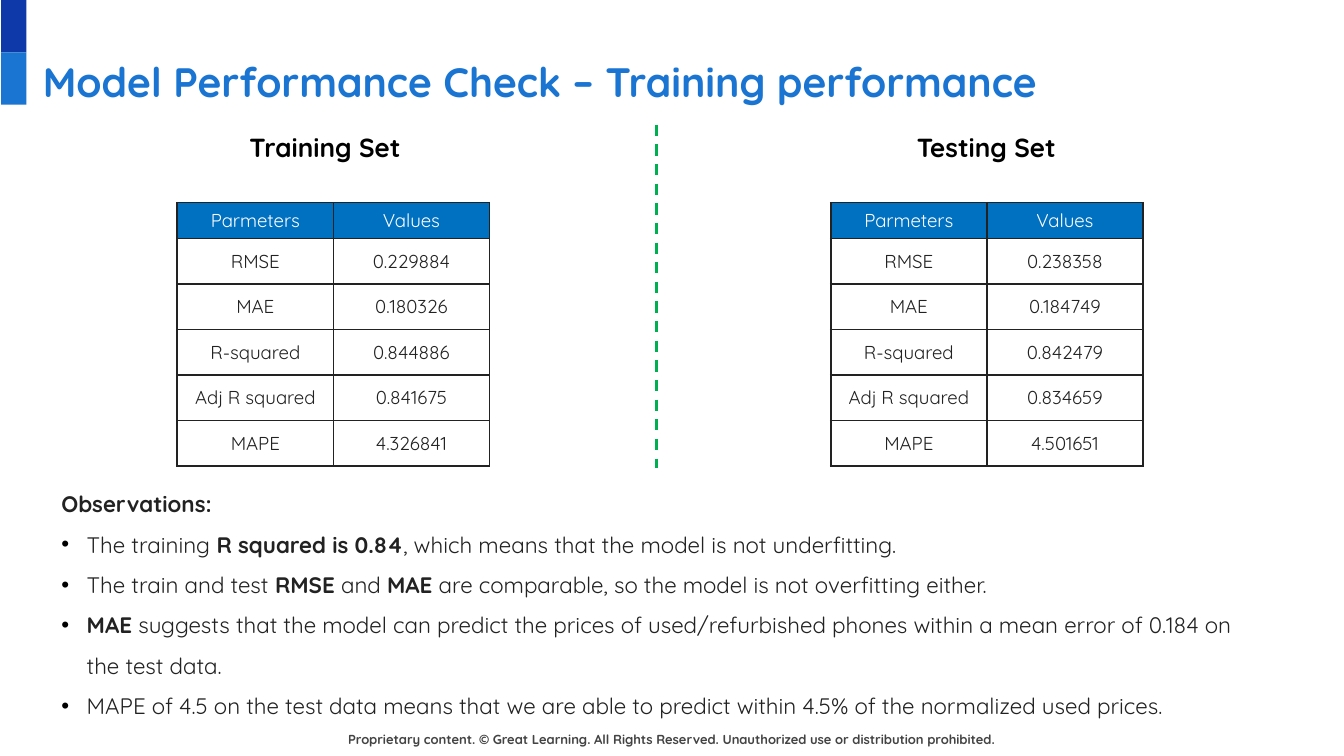
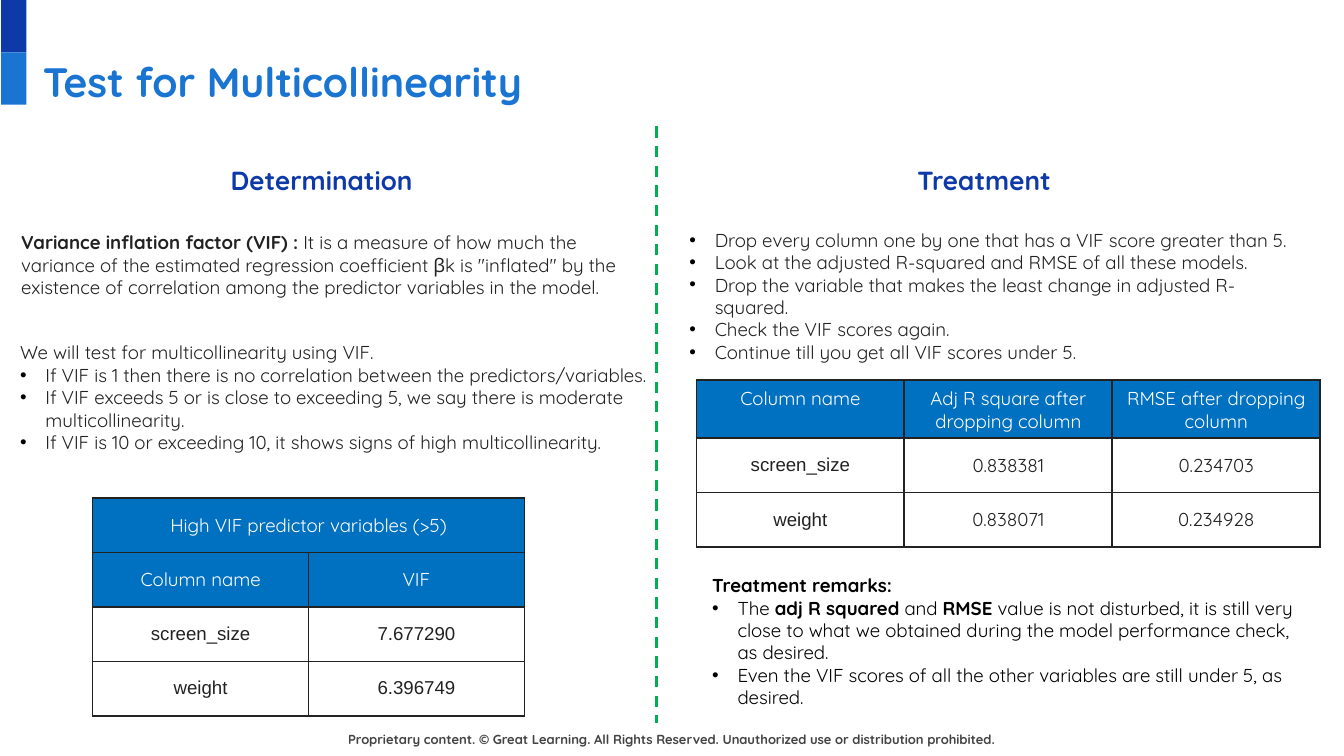
from dataclasses import dataclass

from lxml.etree import SubElement
from pptx import Presentation
from pptx.dml.color import RGBColor
from pptx.enum.dml import MSO_LINE
from pptx.enum.shapes import MSO_CONNECTOR, MSO_SHAPE
from pptx.enum.text import MSO_ANCHOR, PP_ALIGN
from pptx.oxml.ns import qn
from pptx.util import Cm, Pt


@dataclass(frozen=True)
class Theme:
    navy: str = "0E39A9"
    blue: str = "1974D2"
    head: str = "0070C0"
    green: str = "00B050"
    ink: str = "222222"
    black: str = "000000"
    white: str = "FFFFFF"
    grey: str = "434343"
    font: str = "Quicksand"
    plain: str = "Arial"
    title: float = 22
    label: float = 14
    note: float = 12
    body: float = 10
    foot: float = 7


T = Theme()
FOOT = ("Proprietary content. © Great Learning. All Rights Reserved. "
        "Unauthorized use or distribution prohibited.")
INDENT = 0.48
MID = 12.4


def rgb(code):
    return RGBColor.from_string(code)


def add_runs(para, text, size, color, font=T.font):
    """Add the text as runs; parts between asterisks are bold."""
    for i, part in enumerate(text.split("*")):
        if part:
            run = para.add_run()
            run.text = part
            run.font.size = Pt(size)
            run.font.name = font
            run.font.bold = i % 2 == 1
            run.font.color.rgb = rgb(color)


def add_bullet(para):
    props = para._p.get_or_add_pPr()
    props.set("marL", str(Cm(INDENT)))
    props.set("indent", str(-Cm(INDENT)))
    tint = SubElement(props, qn("a:buClr"))
    SubElement(tint, qn("a:srgbClr"), val=T.black)
    SubElement(props, qn("a:buFont"), typeface=T.plain)
    SubElement(props, qn("a:buChar"), char="•")


def add_text(slide, box, lines, size=T.body, color=T.ink, align=PP_ALIGN.LEFT,
             pad=0.13, space=None):
    """Write one paragraph per line; a leading "• " makes it a bullet."""
    frame = slide.shapes.add_textbox(*map(Cm, box)).text_frame
    frame.word_wrap = True
    frame.margin_left = frame.margin_right = Cm(0.25)
    frame.margin_top = frame.margin_bottom = Cm(pad)
    for i, line in enumerate(lines):
        para = frame.paragraphs[0] if i == 0 else frame.add_paragraph()
        para.alignment = align
        if line.startswith("• "):
            if space:
                para.line_spacing = space
            add_bullet(para)
            line = line[2:]
        add_runs(para, line, size, color)


def add_label(slide, left, top, width, text, color):
    add_text(slide, (left, top, width, 0.86), [f"*{text}*"], T.label, color,
             PP_ALIGN.CENTER)


def add_rule(slide, top, end):
    line = slide.shapes.add_connector(MSO_CONNECTOR.STRAIGHT, Cm(MID), Cm(top),
                                      Cm(MID), Cm(end))
    line.line.color.rgb = rgb(T.green)
    line.line.width = Pt(1.5)
    line.line.dash_style = MSO_LINE.DASH
    SubElement(line._element.spPr, qn("a:effectLst"))


def add_edges(cell):
    props = cell._tc.get_or_add_tcPr()
    for side in "LRTB":
        edge = SubElement(props, qn(f"a:ln{side}"), w=str(Pt(1)))
        fill = SubElement(edge, qn("a:solidFill"))
        SubElement(fill, qn("a:srgbClr"), val=T.ink)


def add_table(slide, left, top, col, highs, rows, heads=1, plain=(),
              anchor=MSO_ANCHOR.MIDDLE):
    """Draw a grid; a row of one cell spans it, plain columns use the plain font."""
    wide = len(rows[-1])
    grid = slide.shapes.add_table(len(rows), wide, Cm(left), Cm(top),
                                  Cm(col * wide), Cm(sum(highs))).table
    grid.first_row = grid.horz_banding = False
    for column in grid.columns:
        column.width = Cm(col)
    for r, row in enumerate(rows):
        grid.rows[r].height = Cm(highs[r])
        top_row = r < heads
        if len(row) == 1:
            grid.cell(r, 0).merge(grid.cell(r, wide - 1))
        for c in range(wide):
            cell = grid.cell(r, c)
            add_edges(cell)
            if top_row:
                cell.fill.solid()
                cell.fill.fore_color.rgb = rgb(T.head)
            else:
                cell.fill.background()
            cell.vertical_anchor = anchor if top_row else MSO_ANCHOR.MIDDLE
            if c < len(row):
                para = cell.text_frame.paragraphs[0]
                para.alignment = PP_ALIGN.CENTER
                font = T.plain if c in plain and not top_row else T.font
                add_runs(para, row[c], T.body, T.white if top_row else T.ink, font)


def add_slide(deck, title):
    """Start a slide with its corner bands, footer and title."""
    slide = deck.slides.add_slide(deck.slide_layouts[6])
    for i, color in enumerate((T.navy, T.blue)):
        band = slide.shapes.add_shape(MSO_SHAPE.RECTANGLE, Cm(0.02), Cm(0.99 * i),
                                      Cm(0.48), Cm(0.99))
        band.shadow.inherit = False
        band.fill.solid()
        band.fill.fore_color.rgb = rgb(color)
        band.line.fill.background()
    add_text(slide, (6.2, 13.67, 12.98, 0.76), [f"*{FOOT}*"], T.foot, T.grey,
             PP_ALIGN.CENTER, 0.25)
    add_text(slide, (0.56, 0.81, 23.67, 1.6), [f"*{title}*"], T.title, T.blue,
             pad=0.25)
    return slide


def add_scores(deck):
    slide = add_slide(deck, "Model Performance Check – Training performance")
    names = ("RMSE", "MAE", "R-squared", "Adj R squared", "MAPE")
    sets = (
        ("Training Set", 2.46, 3.35,
         ("0.229884", "0.180326", "0.844886", "0.841675", "4.326841")),
        ("Testing Set", 14.96, 15.7,
         ("0.238358", "0.184749", "0.842479", "0.834659", "4.501651")),
    )
    for label, left, edge, values in sets:
        add_label(slide, left, 2.36, 7.37, label, T.black)
        rows = [("Parmeters", "Values"), *zip(names, values)]
        add_table(slide, edge, 3.83, 2.95, [0.66] + [0.86] * 5, rows)
    add_rule(slide, 2.36, 8.84)
    add_text(slide, (0.91, 9.14, 23.01, 4.55), [
        "*Observations:*",
        "• The training* R squared is 0.84*, which means that the model is not "
        "underfitting.",
        "• The train and test *RMSE* and *MAE* are comparable, so the model is "
        "not overfitting either.",
        "• *MAE* suggests that the model can predict the prices of "
        "used/refurbished phones within a mean error of 0.184 on the test data.",
        "• MAPE of 4.5 on the test data means that we are able to predict "
        "within 4.5% of the normalized used prices.",
    ], T.note, space=1.5)


def add_tests(deck):
    slide = add_slide(deck, "Test for Multicollinearity")
    add_rule(slide, 2.39, 13.67)
    for label, left in (("Determination", 1.75), ("Treatment", 14.27)):
        add_label(slide, left, 2.97, 8.66, label, T.navy)
    add_text(slide, (0.15, 4.24, 11.86, 1.55), [
        "*Variance inflation factor (VIF) : *It is a measure of how much the "
        "variance of the estimated regression coefficient βk is \"inflated\" by "
        "the existence of correlation among the predictor variables in the model.",
    ])
    add_text(slide, (0.13, 6.32, 12.42, 2.39), [
        "We will test for multicollinearity using VIF.",
        "• If VIF is 1 then there is no correlation between the "
        "predictors/variables.",
        "• If VIF exceeds 5 or is close to exceeding 5, we say there is moderate "
        "multicollinearity.",
        "• If VIF is 10 or exceeding 10, it shows signs of high "
        "multicollinearity.",
    ])
    add_table(slide, 1.75, 9.41, 4.08, [1.03] * 4, [
        ("High VIF predictor variables (>5)",),
        ("Column name", "VIF"),
        ("screen_size", "7.677290"),
        ("weight", "6.396749"),
    ], heads=2, plain=(0, 1))
    add_text(slide, (12.78, 4.19, 12.14, 2.39), [
        "• Drop every column one by one that has a VIF score greater than 5.",
        "• Look at the adjusted R-squared and RMSE of all these models.",
        "• Drop the variable that makes the least change in adjusted R-squared.",
        "• Check the VIF scores again.",
        "• Continue till you get all VIF scores under 5.",
    ])
    add_table(slide, 13.16, 7.18, 3.93, [1.1, 1.03, 1.03], [
        ("Column name", "Adj R square after dropping column",
         "RMSE after dropping column"),
        ("screen_size", "0.838381", "0.234703"),
        ("weight", "0.838071", "0.234928"),
    ], plain=(0,), anchor=MSO_ANCHOR.TOP)
    add_text(slide, (13.21, 10.72, 11.71, 2.82), [
        "*Treatment remarks:*",
        "• The *adj R squared *and *RMSE *value is not disturbed, it is still "
        "very close to what we obtained during the model performance check, as "
        "desired.",
        "• Even the VIF scores of all the other variables are still under 5, as "
        "desired.",
    ], color=T.black)


def main():
    deck = Presentation()
    deck.slide_width, deck.slide_height = Cm(25.4), Cm(14.29)
    add_scores(deck)
    add_tests(deck)
    deck.save("out.pptx")


if __name__ == "__main__":
    main()
